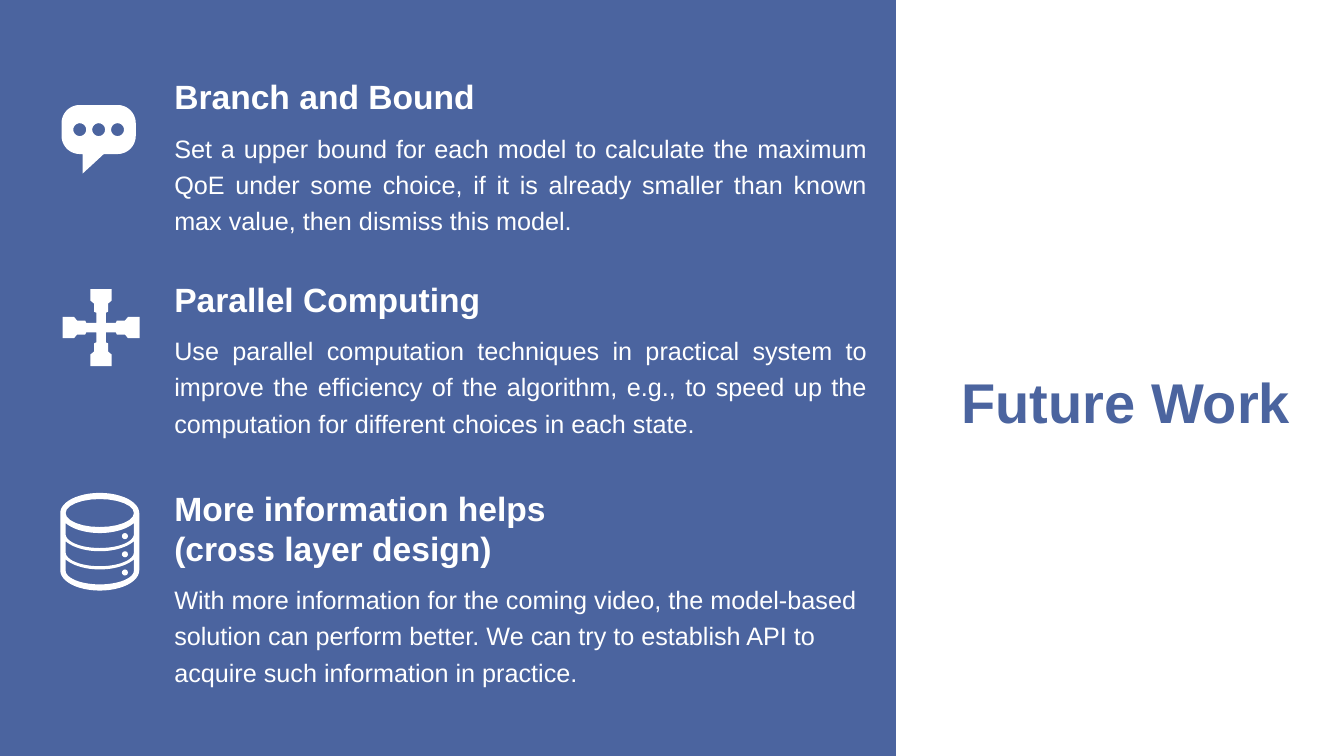
from math import cos, radians, sin

from pptx import Presentation
from pptx.dml.color import RGBColor
from pptx.enum.shapes import MSO_SHAPE as Shape
from pptx.enum.text import MSO_ANCHOR as Anchor, PP_ALIGN as Align
from pptx.util import Pt

BLUE = RGBColor(0x4B, 0x64, 0x9F)
WHITE = RGBColor(0xFF, 0xFF, 0xFF)
FONT = "Arial"


def write(frame, text, size=18, color=WHITE, bold=False,
          align=Align.LEFT, space=1.0):
    frame.word_wrap = True
    frame.vertical_anchor = Anchor.TOP
    frame.text = text
    for para in frame.paragraphs:
        para.alignment = align
        para.line_spacing = space
        font = para.runs[0].font
        font.name, font.size, font.bold = FONT, Pt(size), bold
        font.color.rgb = color


def arc(x, y, wide, high, start=0, end=360):
    """Points on an ellipse with radii wide and high, in 24 steps."""
    turns = [radians(start + (end - start) * i / 24) for i in range(25)]
    return [(x + wide * cos(t), y + high * sin(t)) for t in turns]


class Deck:
    def __init__(self):
        self.file = Presentation()
        self.file.slide_width, self.file.slide_height = Pt(960), Pt(540)
        self.slide = self.file.slides.add_slide(self.file.slide_layouts[5])
        self.shapes = self.slide.shapes

    def paint(self, shape, color):
        shape.shadow.inherit = False
        shape.fill.solid()
        shape.fill.fore_color.rgb = color
        shape.line.fill.background()

    def title(self, text, *box, **style):
        title = self.shapes.title
        title.left, title.top, title.width, title.height = map(Pt, box)
        write(title.text_frame, text, **style)

    def text(self, text, *box, **style):
        write(self.shapes.add_textbox(*map(Pt, box)).text_frame, text, **style)

    def shape(self, kind, *box, color=WHITE):
        self.paint(self.shapes.add_shape(kind, *map(Pt, box)), color)

    def free(self, *rings):
        """One outline, with any later rings cut out as holes."""
        rings = [[(Pt(x), Pt(y)) for x, y in ring] for ring in rings]
        pen = self.shapes.build_freeform(*rings[0][0])
        pen.add_line_segments(rings[0][1:], close=True)
        for ring in rings[1:]:
            pen.move_to(*ring[0])
            pen.add_line_segments(ring[1:], close=True)
        self.paint(pen.convert_to_shape(), WHITE)


def bubble(deck):
    edge = (arc(57, 88, 13, 13, 180, 270) + arc(84, 88, 13, 13, 270, 360)
            + arc(84, 97, 13, 13, 0, 90) + [(74.2, 110), (59, 124), (59, 110)]
            + arc(57, 97, 13, 13, 90, 180))
    deck.free(edge, *[arc(x, 92.6, 4.6, 4.6) for x in (57, 70.5, 84)])


def cross(deck):
    half = [(3.4, -3.4), (10.6, -3.4), (11.3, -5), (17.1, -5),
            (19.3, -7.6), (27.5, -7.6)]
    arm = half + [(x, -y) for x, y in reversed(half[1:])]
    edge = []
    for _ in range(4):
        edge += [(72.2 + x, 234 + y) for x, y in arm]
        arm = [(-y, x) for x, y in arm]
    deck.free(edge)


def store(deck):
    mid, top, base = 71.3, 366.5, 407.5
    edge = arc(mid, top, 28.2, 14.4, 180, 360) + arc(mid, base, 28.2, 14.4, 0, 180)
    lows = [base - 13 * i for i in range(3)]
    bands = [arc(mid, low, 24.4, 10, 0, 180)
             + arc(mid, low - 15.1, 28.2, 14.4, 150, 30) for low in lows]
    deck.free(edge, arc(mid, top, 24.4, 10), *bands)
    for low in lows:
        deck.shape(Shape.OVAL, 87.1, low - 0.7, 4.3, 4.3)


def main():
    deck = Deck()

    # Panel and title
    deck.shape(Shape.RECTANGLE, 0, 0, 640, 540, color=BLUE)
    deck.title("Future Work", 640, 234.7, 328.3, 71.3, size=40, color=BLUE,
               bold=True, align=Align.CENTER, space=1.5)

    # Ideas: icon, heading and body
    ideas = [
        (bubble, "Branch and Bound", 50.4, 233, 36, 87.1, Align.JUSTIFY,
         "Set a upper bound for each model to calculate the maximum QoE under "
         "some choice, if it is already smaller than known max value, then "
         "dismiss this model."),
        (cross, "Parallel Computing", 195.8, 237, 36, 231.8, Align.JUSTIFY,
         "Use parallel computation techniques in practical system to improve "
         "the efficiency of the algorithm, e.g., to speed up the computation "
         "for different choices in each state."),
        (store, "More information helps\n(cross layer design)",
         344.9, 309.6, 65.5, 409.7, Align.LEFT,
         "With more information for the coming video, the model-based solution "
         "can perform better. We can try to establish API to acquire such "
         "information in practice."),
    ]
    for icon, head, top, wide, high, low, align, body in ideas:
        icon(deck)
        deck.text(head, 117.4, top, wide, high, size=24, bold=True)
        deck.text(body, 117.4, low, 509, 83.5, align=align, space=1.2)

    deck.file.save("out.pptx")


if __name__ == "__main__":
    main()
